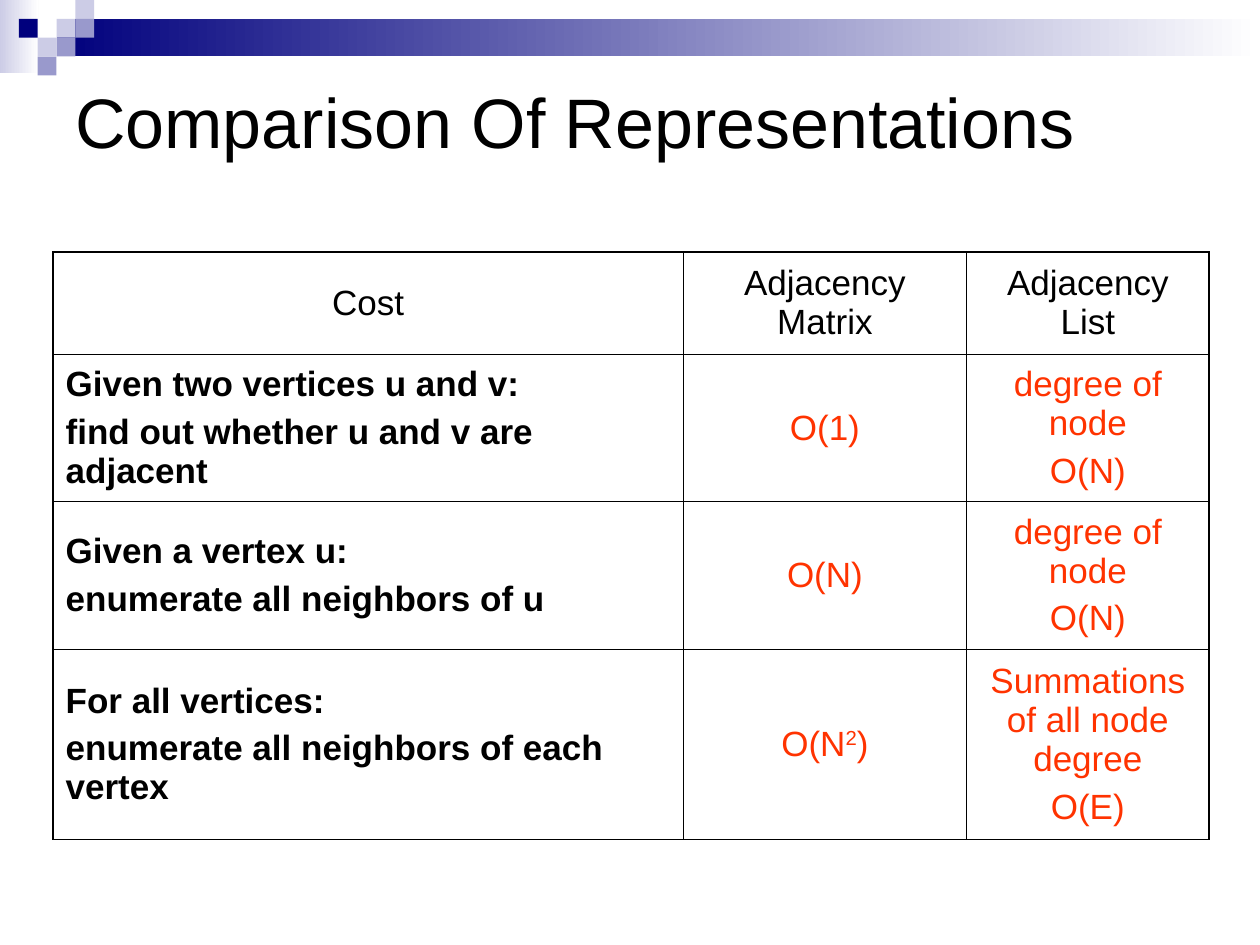
from dataclasses import dataclass

from lxml.etree import SubElement
from pptx import Presentation
from pptx.dml.color import RGBColor
from pptx.enum.shapes import MSO_SHAPE
from pptx.enum.text import MSO_ANCHOR, PP_ALIGN
from pptx.oxml.ns import qn
from pptx.slide import Slide
from pptx.util import Cm, Pt

SQUARE = 0.38
HEADINGS = ["Cost", "Adjacency Matrix", "Adjacency List"]
COSTS = [
    (["Given two vertices u and v:", "find out whether u and v are adjacent"],
     ["O(1)"], ["degree of node", "O(N)"]),
    (["Given a vertex u:", "enumerate all neighbors of u"],
     ["O(N)"], ["degree of node", "O(N)"]),
    (["For all vertices:", "enumerate all neighbors of each vertex"],
     ["O(N^2^)"], ["Summations of all node degree", "O(E)"]),
]
COLUMN_WIDTHS = [12.7, 5.72, 4.88]
ROW_HEIGHTS = [2.06, 2.97, 2.97, 3.84]


def color(value):
    return RGBColor.from_string(value)


@dataclass
class Painter:
    page: Slide
    typeface: str = "Arial"
    ink: str = "000000"
    accent: str = "FF3300"
    navy: str = "00007D"
    lilac: str = "CCCCE6"
    violet: str = "9999CC"
    paper: str = "FFFFFF"
    outer_line: float = 1.08
    inner_line: float = 0.45

    def rectangle(self, left, top, width, height):
        shape = self.page.shapes.add_shape(
            MSO_SHAPE.RECTANGLE, Cm(left), Cm(top), Cm(width), Cm(height))
        shape.shadow.inherit = False
        shape.line.fill.background()
        return shape

    def fading_band(self, left, top, width, height, start):
        band = self.rectangle(left, top, width, height)
        band.fill.gradient()
        band.fill.gradient_angle = 0
        for stop, shade in zip(band.fill.gradient_stops, (start, self.paper)):
            stop.color.rgb = color(shade)

    def square(self, column, row, shade):
        tile = self.rectangle(column * SQUARE, row * SQUARE, SQUARE, SQUARE)
        tile.fill.solid()
        tile.fill.fore_color.rgb = color(shade)

    def add_lines(self, frame, lines, size, shade, bold=False, align=PP_ALIGN.LEFT):
        frame.word_wrap = True
        for index, line in enumerate(lines):
            para = frame.add_paragraph() if index else frame.paragraphs[0]
            para.alignment = align
            if index:
                para.space_before = Pt(5)
            for position, text in enumerate(line.split("^")):
                span = para.add_run()
                span.text = text
                span.font.name = self.typeface
                span.font.size = Pt(size)
                span.font.bold = bold
                span.font.color.rgb = color(shade)
                if position % 2:
                    span.font._element.set("baseline", "30000")

    def title(self, text, left, top, width, height):
        box = self.page.shapes.add_textbox(Cm(left), Cm(top), Cm(width), Cm(height))
        box.text_frame.vertical_anchor = MSO_ANCHOR.MIDDLE
        self.add_lines(box.text_frame, [text], 40, self.ink)

    def borders(self, cell, outer_sides):
        properties = cell._tc.get_or_add_tcPr()
        for side, outer in zip("LRTB", outer_sides):
            width = self.outer_line if outer else self.inner_line
            line = SubElement(properties, qn(f"a:ln{side}"), w=str(Pt(width)))
            fill = SubElement(line, qn("a:solidFill"))
            SubElement(fill, qn("a:srgbClr"), val=self.ink)

    def table(self, left, top, widths, heights, content):
        grid = self.page.shapes.add_table(
            len(heights), len(widths), Cm(left), Cm(top),
            Cm(sum(widths)), Cm(sum(heights))).table
        for column, width in zip(grid.columns, widths):
            column.width = Cm(width)
        for row, height in zip(grid.rows, heights):
            row.height = Cm(height)
        last_row, last_column = len(heights) - 1, len(widths) - 1
        for r, entries in enumerate(content):
            for c, lines in enumerate(entries):
                cell = grid.cell(r, c)
                cell.vertical_anchor = MSO_ANCHOR.MIDDLE
                self.borders(cell, (c == 0, c == last_column, r == 0, r == last_row))
                cell.fill.background()
                task = r > 0 and c == 0
                shade = self.accent if r and c else self.ink
                align = PP_ALIGN.LEFT if task else PP_ALIGN.CENTER
                self.add_lines(cell.text_frame, lines, 20, shade, task, align)


def main():
    deck = Presentation()
    deck.slide_width, deck.slide_height = Cm(25.4), Cm(19.05)
    painter = Painter(deck.slides.add_slide(deck.slide_layouts[6]))

    painter.fading_band(0, 0, 0.78, 1.47, painter.lilac)
    painter.fading_band(3 * SQUARE, SQUARE, 24.26, 0.76, painter.navy)
    for column, row, shade in [
        (3, 1, painter.lilac), (4, 0, painter.lilac), (4, 1, painter.violet),
        (2, 2, painter.lilac), (1, 1, painter.navy), (3, 2, painter.violet),
        (2, 3, painter.violet),
    ]:
        painter.square(column, row, shade)

    painter.title("Comparison Of Representations", 1.27, 0.84, 23.3, 3.18)
    header = [[heading] for heading in HEADINGS]
    painter.table(1.07, 5.08, COLUMN_WIDTHS, ROW_HEIGHTS, [header, *COSTS])
    deck.save("out.pptx")


if __name__ == "__main__":
    main()
